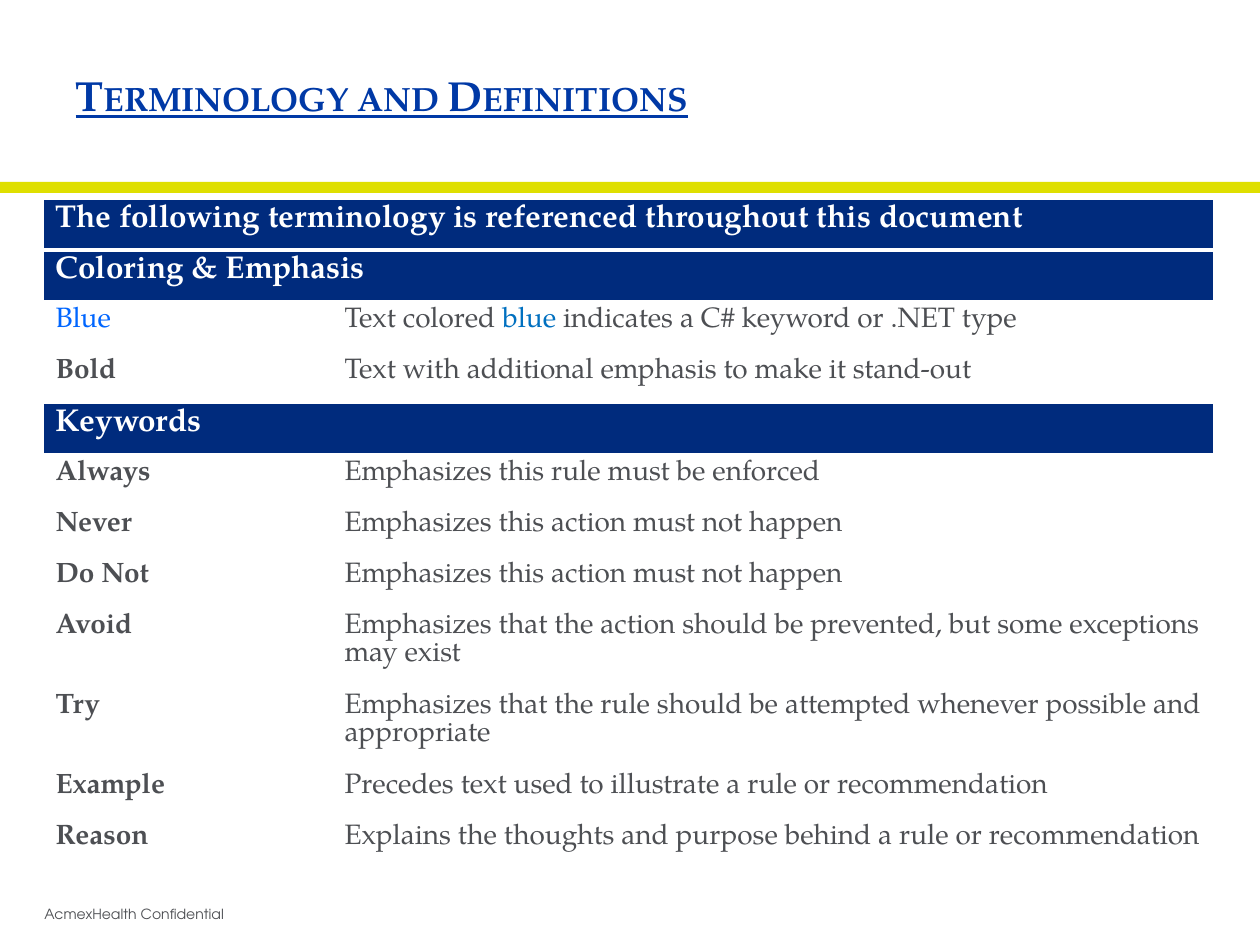
from lxml import etree
from pptx import Presentation, util as u
from pptx.dml.color import RGBColor
from pptx.enum import shapes, text
from pptx.oxml.ns import qn

COLORS = {"white": "FFFFFF", "navy": "002B7D", "title": "0039A6", "lime": "DFDF00",
          "body": "4D4F53", "bright": "0066FF", "blue": "0070C0"}
SERIF, SANS = "TeX Gyre Pagella", "TeX Gyre Adventor"

ROWS = [
    ["The following terminology is referenced throughout this document"],
    ["Coloring & Emphasis"],
    ["Blue", "Text colored |blue| indicates a C# keyword or .NET type"],
    ["Bold", "Text with additional emphasis to make it stand-out"],
    ["Keywords"],
    ["Always", "Emphasizes this rule must be enforced"],
    ["Never", "Emphasizes this action must not happen"],
    ["Do Not", "Emphasizes this action must not happen"],
    ["Avoid", "Emphasizes that the action should be prevented, but some exceptions may exist"],
    ["Try", "Emphasizes that the rule should be attempted whenever possible and appropriate"],
    ["Example", "Precedes text used to illustrate a rule or recommendation"],
    ["Reason", "Explains the thoughts and purpose behind a rule or recommendation"],
]


def px(n):
    return u.Emu(round(n * 914400 / 126))


def rgb(name):
    return RGBColor.from_string(COLORS[name])


class Deck:
    """Builds styled elements on the current slide."""

    def __init__(self):
        self.prs = Presentation()
        self.prs.slide_width, self.prs.slide_height = px(1260), px(945)
        self.s = self.prs.slides.add_slide(self.prs.slide_layouts[5])

    def style(self, p, size, color, bold=False, font=SERIF):
        f = p.font
        f.name, f.size, f.bold = font, u.Pt(size), bold
        f.color.rgb = rgb(color)

    def title(self, words, x, y, w, h):
        sp = self.s.shapes.title
        sp.left, sp.top, sp.width, sp.height = map(px, (x, y, w, h))
        tf = sp.text_frame
        tf.text, tf.word_wrap = words, True
        tf.auto_size = text.MSO_AUTO_SIZE.NONE
        tf.vertical_anchor = text.MSO_ANCHOR.TOP
        p = tf.paragraphs[0]
        p.alignment = text.PP_ALIGN.LEFT
        self.style(p, 24, "title", True)
        p.font.underline = True
        p.runs[0].font._element.set("cap", "small")

    def bar(self, color, x, y, w, h):
        sp = self.s.shapes.add_shape(shapes.MSO_SHAPE.RECTANGLE, *map(px, (x, y, w, h)))
        sp.shadow.inherit = False
        sp.fill.solid()
        sp.fill.fore_color.rgb = rgb(color)
        sp.line.fill.background()

    def label(self, words, x, y, w, h):
        tf = self.s.shapes.add_textbox(*map(px, (x, y, w, h))).text_frame
        tf.word_wrap, tf.text = True, words
        tf.vertical_anchor = text.MSO_ANCHOR.MIDDLE
        self.style(tf.paragraphs[0], 8, "body", font=SANS)

    def borders(self, cell, bottom):
        pr = cell._tc.get_or_add_tcPr()
        for i, side in enumerate(("lnL", "lnR", "lnT", "lnB")):
            width = u.Pt(bottom if side == "lnB" else 1)
            ln = etree.Element(qn("a:" + side), w=str(width))
            fill = etree.SubElement(ln, qn("a:solidFill"))
            etree.SubElement(fill, qn("a:srgbClr"), val=COLORS["white"])
            pr.insert(i, ln)

    def cell(self, cell, words, size, color, bold):
        p = cell.text_frame.paragraphs[0]
        self.style(p, size, color, bold)
        for i, part in enumerate(words.split("|")):
            r = p.add_run()
            r.text = part
            if i % 2:
                r.font.color.rgb = rgb("blue")

    def table(self, rows, x, y, widths, row_height):
        frame = self.s.shapes.add_table(len(rows), len(widths), px(x), px(y),
                                        px(sum(widths)), px(row_height * len(rows)))
        table = frame.table
        for column, width in zip(table.columns, widths):
            column.width = px(width)
        for i, row in enumerate(rows):
            table.rows[i].height = px(row_height)
            heading = len(row) == 1
            for cell in table.rows[i].cells:
                if heading:
                    cell.fill.solid()
                    cell.fill.fore_color.rgb = rgb("navy")
                else:
                    cell.fill.background()
                self.borders(cell, 1 if i else 3)
            if heading:
                table.cell(i, 0).merge(table.cell(i, 1))
                self.cell(table.cell(i, 0), row[0], 18, "white", True)
            else:
                blue = row[0] == "Blue"
                self.cell(table.cell(i, 0), row[0], 16, "bright" if blue else "body", not blue)
                self.cell(table.cell(i, 1), row[1], 16, "body", False)


def main():
    deck = Deck()
    deck.label("AcmexHealth Confidential", 32, 892, 1200, 44)
    deck.bar("lime", 0, 182, 1260, 11)
    deck.title("Terminology and Definitions", 63, 63, 1133, 59)
    deck.table(ROWS, 43, 199, (289, 882), 51)
    deck.prs.save("out.pptx")


if __name__ == "__main__":
    main()
